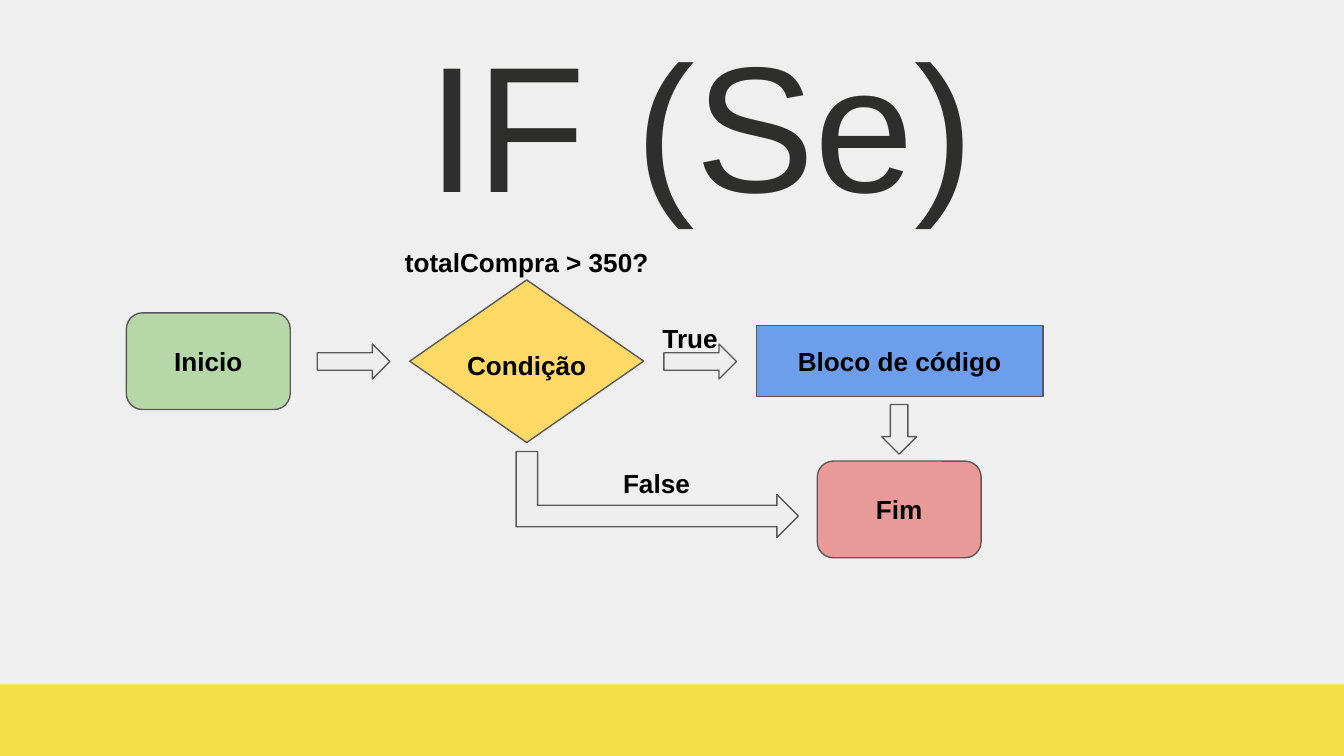
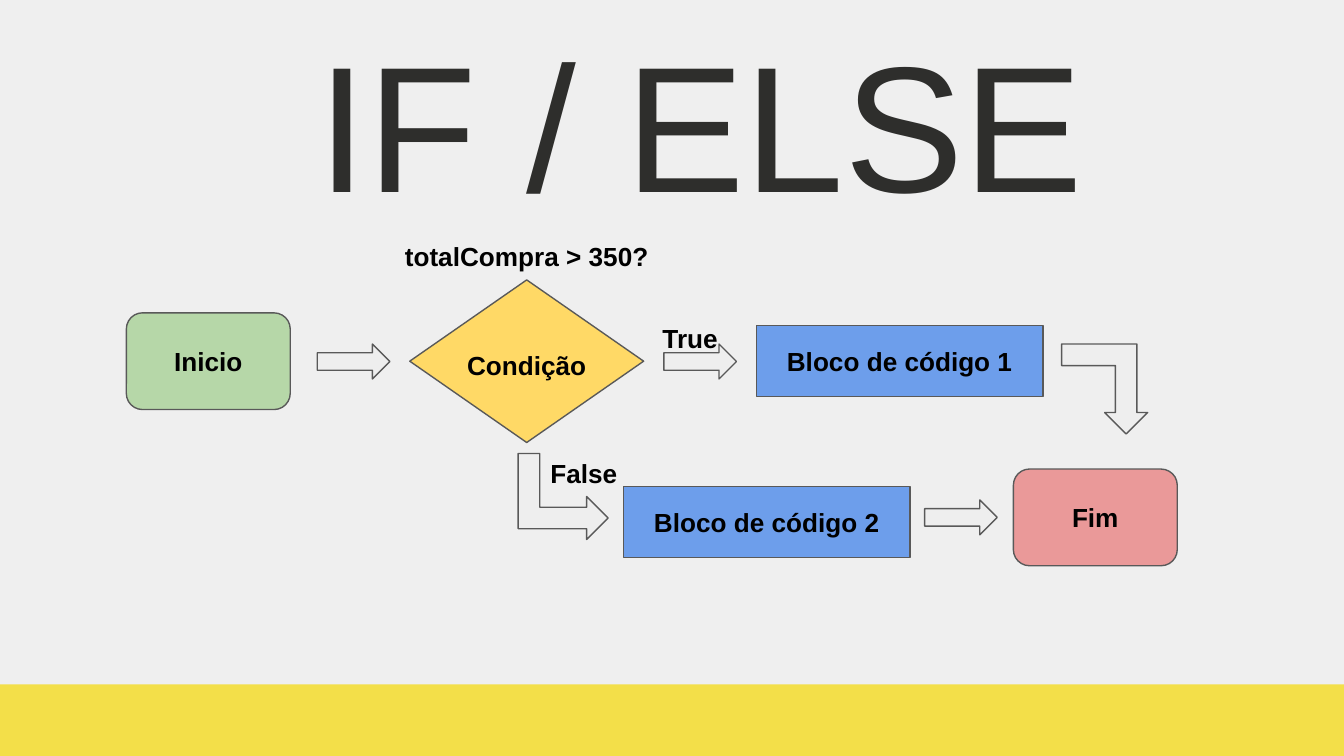
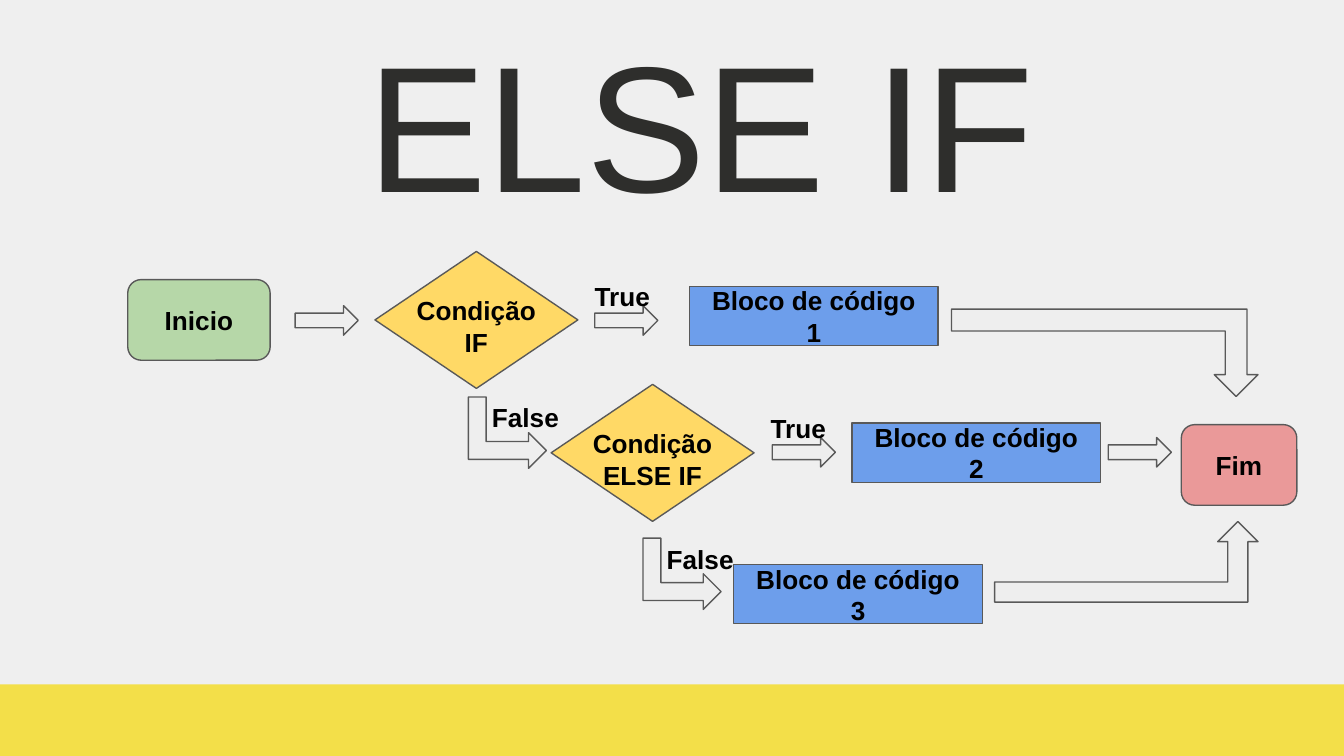
from pptx import Presentation
from pptx.dml.color import RGBColor
from pptx.enum.shapes import MSO_SHAPE
from pptx.enum.text import MSO_ANCHOR, PP_ALIGN
from pptx.util import Pt

RECTANGLE = MSO_SHAPE.RECTANGLE
ROUNDED = MSO_SHAPE.ROUNDED_RECTANGLE
DIAMOND = MSO_SHAPE.DIAMOND
UP_ARROW = MSO_SHAPE.UP_ARROW
BENT_ARROW = MSO_SHAPE.BENT_UP_ARROW
TOP, MIDDLE = MSO_ANCHOR.TOP, MSO_ANCHOR.MIDDLE
CENTER = PP_ALIGN.CENTER

BACKGROUND = RGBColor(0xEF, 0xEF, 0xEF)
YELLOW_BAND = RGBColor(0xF3, 0xDF, 0x49)
TITLE_COLOR = RGBColor(0x2E, 0x2E, 0x2C)
BLACK = RGBColor(0, 0, 0)
OUTLINE = RGBColor(0x59, 0x59, 0x59)
GREEN = RGBColor(0xB6, 0xD7, 0xA8)
GOLD = RGBColor(0xFF, 0xD9, 0x66)
RED = RGBColor(0xEA, 0x99, 0x99)
BLUE = RGBColor(0x6D, 0x9E, 0xEB)
ARROW_FILL = RGBColor(0xEE, 0xEE, 0xEE)

FONT = "Arial"
SLIDE_WIDTH, SLIDE_HEIGHT = 720, 405
BAND_TOP = 366.7
TITLE_BOX = (103, 0, 545, 112.3)
INSET = 7.2

# Flowchart vocabulary: steps as (shape, fill), arrows as (shape, rotation, mirrored)
STEPS = {
    "start": (ROUNDED, GREEN),
    "condition": (DIAMOND, GOLD),
    "block": (RECTANGLE, BLUE),
    "end": (ROUNDED, RED),
}
ARROWS = {
    "right": (UP_ARROW, 90, False),
    "down": (UP_ARROW, 180, False),
    "down then right": (BENT_ARROW, 90, False),
    "right then down": (BENT_ARROW, 180, True),
    "right then up": (BENT_ARROW, 0, False),
}

# Width and height of each part, before rotation
LARGE = {
    "start": (87.8, 51.8), "end": (87.8, 51.8), "condition": (125.3, 87.1),
    "block": (153.4, 38.2), "caption": (108, 26.6), "label": (71.3, 26.6),
    "question": (192, 18.7), "right": (18.7, 38.9), "down": (18.7, 26.6),
    "down then right": (46.1, 48.2), "right then down": (46.1, 48.2),
}
SMALL = {
    "start": (76.3, 43.2), "end": (61.9, 43.2), "condition": (108.7, 73.4),
    "block": (133.2, 31.7), "caption": (93.6, 22.3), "label": (61.9, 22.3),
    "right": (15.8, 33.8), "down then right": (38.2, 41.8),
    "right then down": (164.2, 46.8), "right then up": (141.1, 43.2),
}

# Content: every part is placed by its centre
QUESTION = "totalCompra > 350?"
OPENING_STEPS = [
    ("start", "Inicio", 111.6, 193.5),
    ("condition", "Condição", 282.2, 193.5),
]
OPENING_ARROWS = [("right", 189.4, 193.7), ("right", 375.1, 193.7)]
OPENING_LABEL = ("label", "True", 369.7, 178.9)

SLIDES = [
    {
        "title": "IF (Se)", "sizes": LARGE, "caption_shift": 0,
        "steps": OPENING_STEPS + [
            ("block", "Bloco de código", 482, 193.5),
            ("end", "Fim", 481.7, 272.9),
        ],
        "arrows": OPENING_ARROWS + [
            ("down", 481.7, 230),
            ("down then right", 352.1, 265, (46.1, 151.2)),
        ],
        "labels": [
            OPENING_LABEL,
            ("label", "False", 351.7, 256.7),
            ("question", QUESTION, 282.2, 133.9),
        ],
    },
    {
        "title": "IF / ELSE", "sizes": LARGE, "caption_shift": 0,
        "steps": OPENING_STEPS + [
            ("block", "Bloco de código 1", 482, 193.5),
            ("block", "Bloco de código 2", 410.8, 279.7),
            ("end", "Fim", 586.8, 277.2),
        ],
        "arrows": OPENING_ARROWS + [
            ("down then right", 301.7, 266),
            ("right", 514.8, 277.2),
            ("right then down", 591.8, 208.4),
        ],
        "labels": [
            OPENING_LABEL,
            ("label", "False", 312.8, 250.9),
            ("question", QUESTION, 282.2, 131),
        ],
    },
    {
        "title": "ELSE IF", "sizes": SMALL, "caption_shift": -9.6,
        "steps": [
            ("start", "Inicio", 106.6, 171.4),
            ("condition", "Condição IF", 255.2, 171.4),
            ("block", "Bloco de código 1", 436, 169.4),
            ("condition", "Condição ELSE IF", 349.6, 242.6),
            ("block", "Bloco de código 2", 523.1, 242.6),
            ("block", "Bloco de código 3", 459.7, 318.4),
            ("end", "Fim", 663.8, 249.1),
        ],
        "arrows": [
            ("right", 175, 171.7),
            ("right", 335.5, 171.7),
            ("right", 430.6, 242.3),
            ("right", 610.6, 242.3),
            ("down then right", 271.8, 231.8),
            ("down then right", 365.4, 307.4),
            ("right then down", 591.8, 189),
            ("right then up", 603.4, 301),
        ],
        "labels": [
            ("label", "True", 333.4, 154.4),
            ("label", "False", 281.5, 219.2),
            ("label", "True", 427.7, 225),
            ("label", "False", 375.1, 294.8),
        ],
    },
]


def centered(x, y, size):
    """Turn a centre and a size into left, top, width, height."""
    width, height = size
    return x - width / 2, y - height / 2, width, height


def write_text(shape, text, size=14, color=BLACK, bold=True, anchor=TOP):
    frame = shape.text_frame
    frame.word_wrap = True
    frame.vertical_anchor = anchor
    frame.margin_left = frame.margin_right = Pt(INSET)
    frame.margin_top = frame.margin_bottom = Pt(INSET)
    paragraph = frame.paragraphs[0]
    paragraph.alignment = CENTER
    run = paragraph.add_run()
    run.text = text
    run.font.name = FONT
    run.font.size = Pt(size)
    run.font.bold = bold
    run.font.color.rgb = color


def add_text(slide, text, box, **text_format):
    write_text(slide.shapes.add_textbox(*map(Pt, box)), text, **text_format)


def add_filled(slide, kind, box, fill, outlined=True):
    shape = slide.shapes.add_shape(kind, *map(Pt, box))
    shape.shadow.inherit = False
    shape.fill.solid()
    shape.fill.fore_color.rgb = fill
    if outlined:
        shape.line.color.rgb = OUTLINE
        shape.line.width = Pt(0.75)
    else:
        shape.line.fill.background()
    return shape


def add_base(presentation, title):
    slide = presentation.slides.add_slide(presentation.slide_layouts[6])
    slide.background.fill.solid()
    slide.background.fill.fore_color.rgb = BACKGROUND
    add_text(slide, title, TITLE_BOX, size=96, color=TITLE_COLOR, bold=False)
    band = (0, BAND_TOP, SLIDE_WIDTH, SLIDE_HEIGHT - BAND_TOP)
    add_filled(slide, RECTANGLE, band, YELLOW_BAND, outlined=False)
    return slide


def add_step(slide, sizes, caption_shift, kind, text, x, y):
    geometry, fill = STEPS[kind]
    shape = add_filled(slide, geometry, centered(x, y, sizes[kind]), fill)
    if kind == "condition":
        add_text(slide, text, centered(x, y + caption_shift, sizes["caption"]))
    else:
        write_text(shape, text, anchor=MIDDLE)


def add_arrow(slide, sizes, direction, x, y, size=None):
    geometry, rotation, mirrored = ARROWS[direction]
    box = centered(x, y, size or sizes[direction])
    arrow = add_filled(slide, geometry, box, ARROW_FILL)
    arrow.rotation = rotation
    if mirrored:
        arrow.element.spPr.xfrm.set("flipH", "1")


def main():
    presentation = Presentation()
    presentation.slide_width = Pt(SLIDE_WIDTH)
    presentation.slide_height = Pt(SLIDE_HEIGHT)
    for content in SLIDES:
        slide = add_base(presentation, content["title"])
        sizes = content["sizes"]
        for step in content["steps"]:
            add_step(slide, sizes, content["caption_shift"], *step)
        for arrow in content["arrows"]:
            add_arrow(slide, sizes, *arrow)
        for kind, text, x, y in content["labels"]:
            add_text(slide, text, centered(x, y, sizes[kind]))
    presentation.save("out.pptx")


if __name__ == "__main__":
    main()
